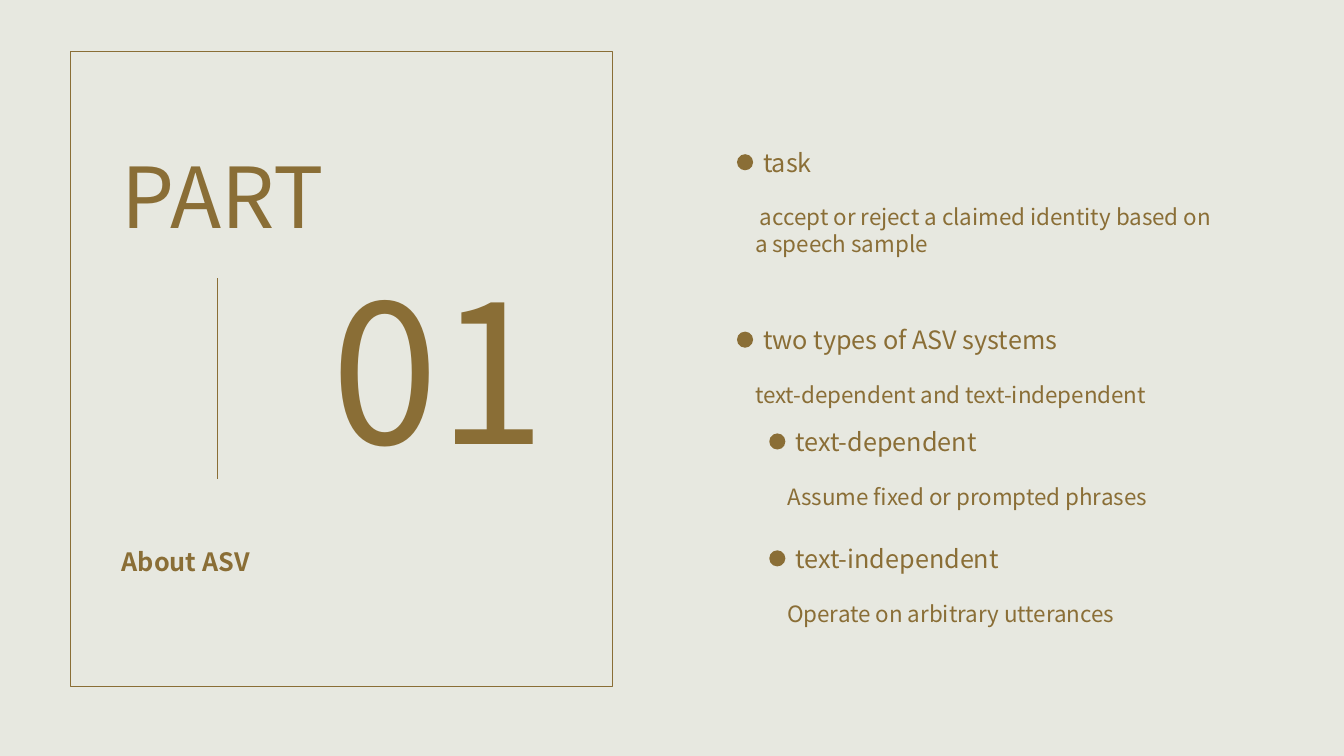
from lxml.etree import SubElement
from pptx import Presentation
from pptx.dml.color import RGBColor
from pptx.enum.shapes import MSO_CONNECTOR, MSO_SHAPE
from pptx.enum.text import MSO_AUTO_SIZE
from pptx.oxml.ns import qn
from pptx.util import Inches, Pt

COLORS = {"paper": "E7E8E0", "bronze": "8A6E36"}
FONT = "Noto Sans CJK SC"

# Grid of 0.1 inch columns and rows
CELL = Inches(0.1)
DOT = 1.6
DOT_DROP = 1.2
DETAIL_INDENT = 0.8
DETAIL_DROP = 5.6

# Dot column, heading row, heading width, heading, detail height, detail
TOPICS = [
    (73.1, 14.1, 56.9, "task", 6.4,
     " accept or reject a claimed identity based on a speech sample"),
    (73.1, 31.7, 50, "two types of ASV systems", 3.7,
     "text-dependent and text-independent"),
    (76.3, 41.8, 28.9, "text-dependent", 3.7,
     "Assume fixed or prompted phrases"),
    (76.3, 53.4, 28.9, "text-independent", 3.7,
     "Operate on arbitrary utterances"),
]


def grid(*cells):
    return [round(cell * CELL) for cell in cells]


def color(name):
    return RGBColor.from_string(COLORS[name])


def add_text(shapes, text, box, size=16, bold=False, tint="bronze"):
    label = shapes.add_textbox(*grid(*box))
    frame = label.text_frame
    frame.word_wrap = True
    frame.auto_size = MSO_AUTO_SIZE.SHAPE_TO_FIT_TEXT
    run = frame.paragraphs[0].add_run()
    run.text = text
    run.font.name = FONT
    run.font.size = Pt(size)
    run.font.bold = bold
    run.font.color.rgb = color(tint)
    # East Asian typeface follows the Latin one
    SubElement(run.font._element, qn("a:ea"), typeface=FONT)


def add_frame(shapes, box):
    frame = shapes.add_shape(MSO_SHAPE.RECTANGLE, *grid(*box))
    frame.shadow.inherit = False
    frame.fill.background()
    frame.line.color.rgb = color("bronze")
    frame.line.width = Pt(0.75)


def add_divider(shapes, column, top, bottom):
    divider = shapes.add_connector(
        MSO_CONNECTOR.STRAIGHT, *grid(column, top, column, bottom))
    divider.line.color.rgb = color("bronze")
    divider.line.width = Pt(0.5)
    SubElement(divider._element.spPr, qn("a:effectLst"))


def add_dot(shapes, left, top):
    dot = shapes.add_shape(MSO_SHAPE.OVAL, *grid(left, top, DOT, DOT))
    dot.shadow.inherit = False
    dot.fill.solid()
    dot.fill.fore_color.rgb = color("bronze")
    dot.line.fill.background()


def add_topic(shapes, left, top, width, heading, detail_height, detail):
    bullet = shapes.add_group_shape().shapes
    add_text(bullet, heading, (left + DOT, top, width, 4), size=18)
    add_dot(bullet, left, top + DOT_DROP)
    add_text(shapes, detail,
             (left + DETAIL_INDENT, top + DETAIL_DROP, 47.6, detail_height))


def main():
    deck = Presentation()
    deck.slide_width, deck.slide_height = Inches(13.33), Inches(7.5)
    slide = deck.slides.add_slide(deck.slide_layouts[6])
    slide.background.fill.solid()
    slide.background.fill.fore_color.rgb = color("paper")
    shapes = slide.shapes

    # Section card
    add_frame(shapes, (7, 5.1, 53.8, 63))
    add_text(shapes, "PART", (11.1, 13.8, 23.6, 11.1), size=60)
    add_text(shapes, "01", (31.9, 24.4, 31.8, 24.2), size=138)
    add_divider(shapes, 21.6, 27.6, 47.5)
    add_text(shapes, "About ASV", (11.1, 53.7, 34.7, 4), size=18, bold=True)

    # Topics
    for topic in TOPICS:
        add_topic(shapes, *topic)

    deck.save("out.pptx")


if __name__ == "__main__":
    main()
